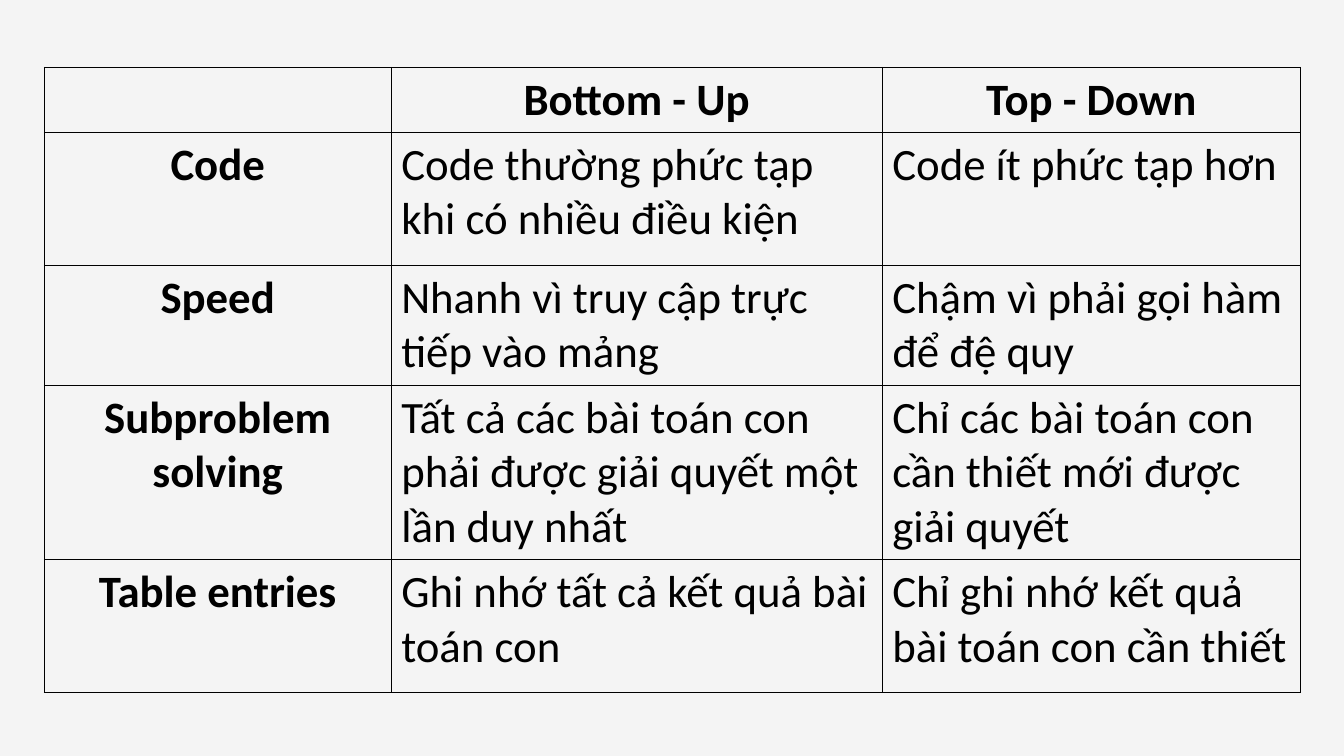
from dataclasses import dataclass

from lxml import etree
from pptx import Presentation
from pptx.dml.color import RGBColor
from pptx.enum.text import PP_ALIGN
from pptx.oxml.ns import qn
from pptx.util import Inches, Pt

CENTER, LEFT = PP_ALIGN.CENTER, PP_ALIGN.LEFT


@dataclass(frozen=True)
class Theme:
    """Colours, font and sizes of the slide."""
    background: str = "F4F4F4"
    ink: str = "000000"
    font: str = "Calibri"
    text_size: int = 32
    border_width: int = 1


THEME = Theme()
SLIDE_WIDTH, SLIDE_HEIGHT = 13.33, 7.5
TABLE_LEFT, TABLE_TOP = 0.44, 0.67
COLUMNS = [3.44, 4.87, 4.15]
ROWS = [0.64, 1.32, 1.19, 1.73, 1.32]
COMPARISON = [
    ["", "Bottom - Up", "Top - Down"],
    ["Code", "Code thường phức tạp khi có nhiều điều kiện", "Code ít phức tạp hơn"],
    ["Speed", "Nhanh vì truy cập trực tiếp vào mảng",
     "Chậm vì phải gọi hàm để đệ quy"],
    ["Subproblem solving", "Tất cả các bài toán con phải được giải quyết một lần duy nhất",
     "Chỉ các bài toán con cần thiết mới được giải quyết"],
    ["Table entries", "Ghi nhớ tất cả kết quả bài toán con",
     "Chỉ ghi nhớ kết quả bài toán con cần thiết"],
]


def add_borders(cell):
    """Draw a thin solid line on all four sides of a cell."""
    properties = cell._tc.get_or_add_tcPr()
    for side in ("a:lnL", "a:lnR", "a:lnT", "a:lnB"):
        line = etree.SubElement(properties, qn(side), w=str(Pt(THEME.border_width)))
        fill = etree.SubElement(line, qn("a:solidFill"))
        etree.SubElement(fill, qn("a:srgbClr"), val=THEME.ink)


deck = Presentation()
deck.slide_width, deck.slide_height = Inches(SLIDE_WIDTH), Inches(SLIDE_HEIGHT)
page = deck.slides.add_slide(deck.slide_layouts[6])
page.background.fill.solid()
page.background.fill.fore_color.rgb = RGBColor.from_string(THEME.background)

table = page.shapes.add_table(
    len(ROWS), len(COLUMNS), Inches(TABLE_LEFT), Inches(TABLE_TOP),
    Inches(sum(COLUMNS)), Inches(sum(ROWS))).table
table.first_row = table.horz_banding = False
for column, width in zip(table.columns, COLUMNS):
    column.width = Inches(width)
for row, height in zip(table.rows, ROWS):
    row.height = Inches(height)

for row_index, texts in enumerate(COMPARISON):
    for column_index, text in enumerate(texts):
        cell = table.cell(row_index, column_index)
        add_borders(cell)
        cell.fill.background()
        is_heading = row_index == 0 or column_index == 0
        para = cell.text_frame.paragraphs[0]
        para.text = text
        para.alignment = CENTER if is_heading else LEFT
        para.font.name = THEME.font
        para.font.size = Pt(THEME.text_size)
        para.font.bold = is_heading
        para.font.color.rgb = RGBColor.from_string(THEME.ink)

deck.save("out.pptx")
